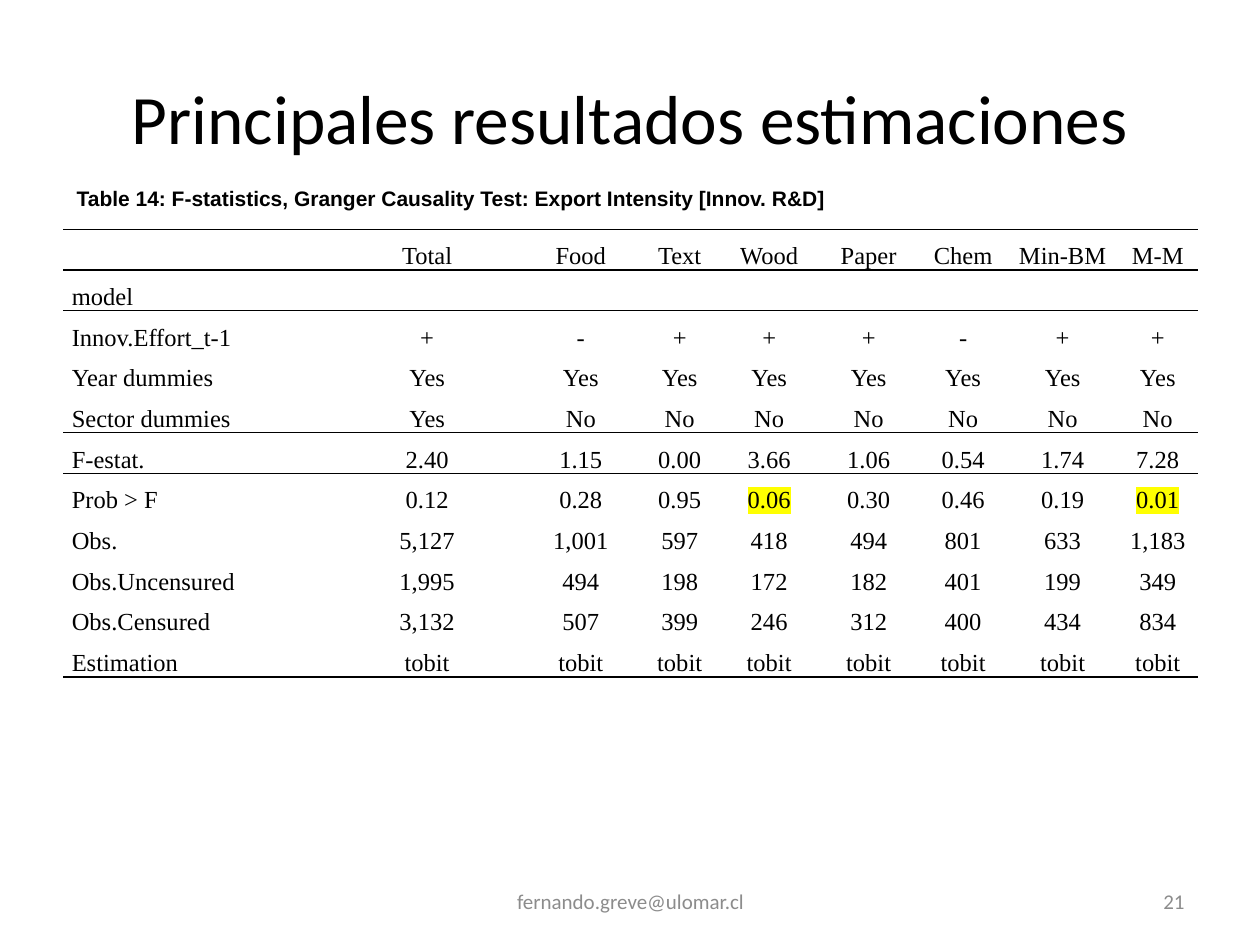
from dataclasses import dataclass

from lxml.etree import SubElement
from pptx import Presentation
from pptx.dml.color import RGBColor
from pptx.enum.text import MSO_ANCHOR, MSO_AUTO_SIZE, PP_ALIGN
from pptx.oxml import parse_xml
from pptx.oxml.ns import nsdecls, qn
from pptx.util import Inches, Pt


@dataclass(frozen=True)
class Theme:
    """Fonts, sizes and colours of the slide."""
    ink: str = "000000"
    muted: str = "8C8C8C"
    mark: str = "FFFF00"
    title_font: str = "Calibri"
    caption_font: str = "Arial"
    table_font: str = "Times New Roman"
    title_size: float = 39.6
    table_size: float = 14
    small_size: float = 12
    rule_width: float = 1
    no_grid: str = "{2D5ABB26-0587-4C30-8999-92F81FD0307C}"


T = Theme()
COLS = [2.14, 1.5, 0.94, 0.63, 0.79, 0.79, 0.71, 0.87, 0.64]
ROW_H = 0.32
RULES_BELOW = {0, 4, 10}
MARKED = {(6, 4), (6, 8)}
ROWS = [
    ["", "Total", "Food", "Text", "Wood", "Paper", "Chem", "Min-BM", "M-M"],
    ["model"] + [""] * 8,
    ["Innov.Effort_t-1", "+", "-", "+", "+", "+", "-", "+", "+"],
    ["Year dummies"] + ["Yes"] * 8,
    ["Sector dummies", "Yes"] + ["No"] * 7,
    ["F-estat.", "2.40", "1.15", "0.00", "3.66", "1.06", "0.54", "1.74", "7.28"],
    ["Prob > F", "0.12", "0.28", "0.95", "0.06", "0.30", "0.46", "0.19", "0.01"],
    ["Obs.", "5,127", "1,001", "597", "418", "494", "801", "633", "1,183"],
    ["Obs.Uncensured", "1,995", "494", "198", "172", "182", "401", "199", "349"],
    ["Obs.Censured", "3,132", "507", "399", "246", "312", "400", "434", "834"],
    ["Estimation"] + ["tobit"] * 8,
]


def write(tf, text, font, size, color, align, bold=False):
    """Put one formatted paragraph in a text frame and return it."""
    tf.text = text
    p = tf.paragraphs[0]
    p.alignment = align
    for r in p.runs:
        r.font.name, r.font.size, r.font.bold = font, Pt(size), bold
        r.font.color.rgb = RGBColor.from_string(color)
    return p


def add_title(s, text):
    """Fill and place the title placeholder."""
    sp = s.shapes.title
    sp.left, sp.top, sp.width, sp.height = map(Inches, (0.5, 0.3, 9, 1.25))
    sp.text_frame.vertical_anchor = MSO_ANCHOR.MIDDLE
    write(sp.text_frame, text, T.title_font, T.title_size, T.ink, PP_ALIGN.CENTER)


def add_label(s, box, text, font, color, align, bold=False, wrap=True):
    """Add a small text box, centred vertically."""
    tf = s.shapes.add_textbox(*map(Inches, box)).text_frame
    tf.word_wrap = wrap
    tf.auto_size = MSO_AUTO_SIZE.NONE if wrap else MSO_AUTO_SIZE.SHAPE_TO_FIT_TEXT
    tf.vertical_anchor = MSO_ANCHOR.MIDDLE
    write(tf, text, font, T.small_size, color, align, bold)


def add_rule(cell, side):
    """Draw a rule on the top (lnT) or bottom (lnB) of a cell."""
    cell._tc.get_or_add_tcPr().append(parse_xml(
        f'<a:{side} {nsdecls("a")} w="{Pt(T.rule_width)}"><a:solidFill>'
        f'<a:srgbClr val="{T.ink}"/></a:solidFill></a:{side}>'))


def highlight(r):
    """Mark a run with the highlight colour."""
    rPr = r.font._element
    mark = SubElement(rPr, qn("a:highlight"))
    SubElement(mark, qn("a:srgbClr"), val=T.mark)
    rPr.find(qn("a:latin")).addprevious(mark)


def fill_cell(cell, row, col, text):
    """Set the rules, margins and text of one cell."""
    if row == 0 or row - 1 in RULES_BELOW:
        add_rule(cell, "lnT")
    if row in RULES_BELOW:
        add_rule(cell, "lnB")
    cell.fill.background()
    cell.margin_left = cell.margin_right = Inches(0.07)
    cell.margin_top = cell.margin_bottom = 0
    if text:
        align = PP_ALIGN.CENTER if col else PP_ALIGN.JUSTIFY
        p = write(cell.text_frame, text, T.table_font, T.table_size, T.ink, align)
        p.line_spacing = 1.5
        if (row, col) in MARKED:
            highlight(p.runs[0])


def add_results(s):
    """Add the table of test results."""
    box = (0.5, 1.82, sum(COLS), ROW_H * len(ROWS))
    tbl = s.shapes.add_table(len(ROWS), len(COLS), *map(Inches, box)).table
    tbl.first_row = tbl.horz_banding = False
    tbl._tbl.tblPr.find(qn("a:tableStyleId")).text = T.no_grid
    for column, width in zip(tbl.columns, COLS):
        column.width = Inches(width)
    for i, values in enumerate(ROWS):
        tbl.rows[i].height = Inches(ROW_H)
        for j, text in enumerate(values):
            fill_cell(tbl.cell(i, j), i, j, text)


def main():
    """Build and save the slide."""
    prs = Presentation()
    prs.slide_width, prs.slide_height = Inches(10), Inches(7.5)
    s = prs.slides.add_slide(prs.slide_layouts[5])
    add_title(s, "Principales resultados estimaciones")
    add_results(s)
    add_label(s, (0.51, 1.42, 6.21, 0.3),
              "Table 14: F-statistics, Granger Causality Test: Export Intensity [Innov. R&D]",
              T.caption_font, T.ink, PP_ALIGN.JUSTIFY, bold=True, wrap=False)
    add_label(s, (7.17, 6.95, 2.33, 0.4), "21", T.title_font, T.muted, PP_ALIGN.RIGHT)
    add_label(s, (3.42, 6.95, 3.17, 0.4), "fernando.greve@ulomar.cl",
              T.title_font, T.muted, PP_ALIGN.CENTER)
    prs.save("out.pptx")


if __name__ == "__main__":
    main()
